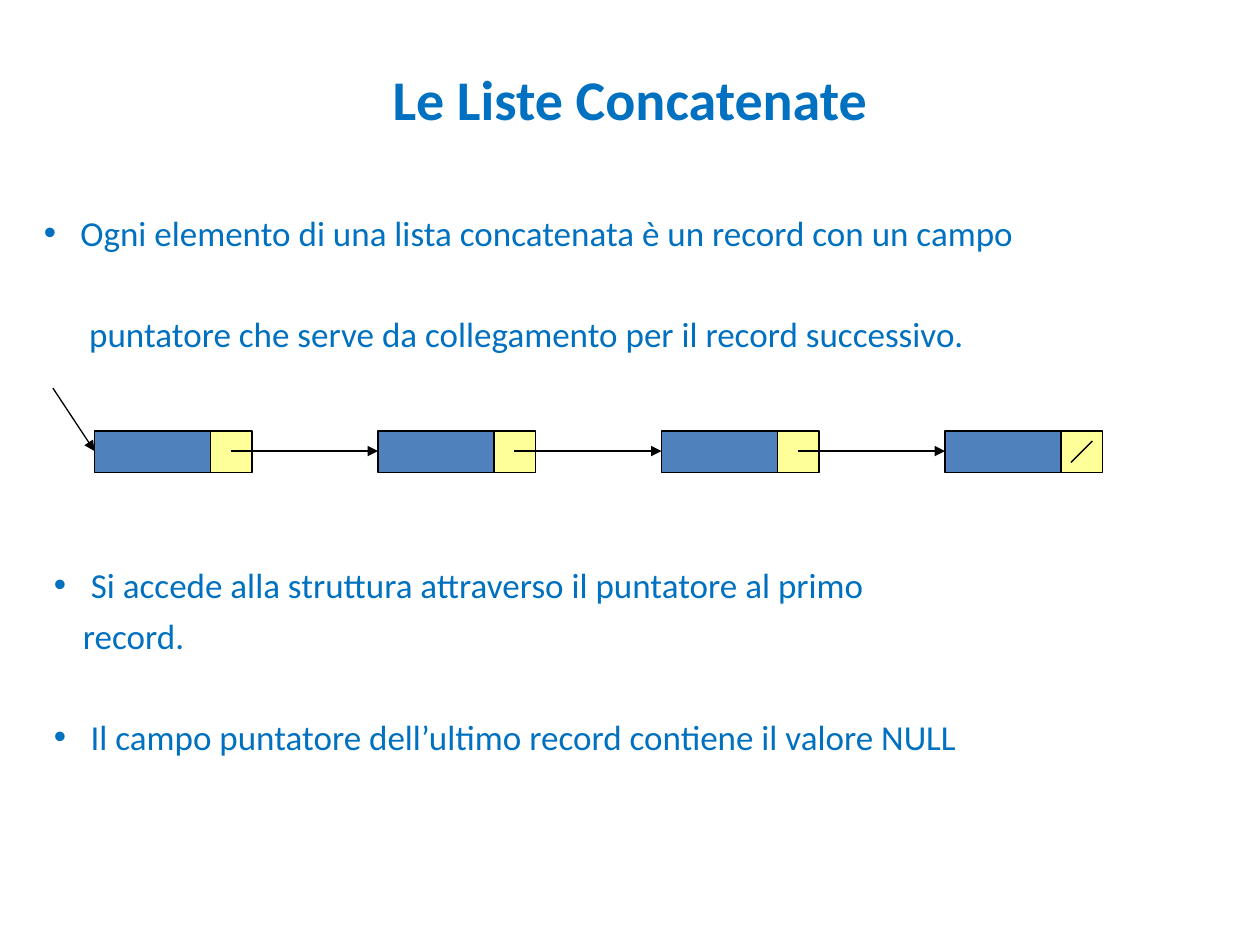
import pptx
import pptx.util
import pptx.dml.color
import pptx.enum.shapes
import pptx.enum.text
import pptx.oxml.ns
import lxml.etree

Inches, Pt = pptx.util.Inches, pptx.util.Pt
RGBColor = pptx.dml.color.RGBColor
qn = pptx.oxml.ns.qn

TEXT_BLUE = RGBColor(0x00, 0x70, 0xC0)
DATA_BLUE = RGBColor(0x4F, 0x81, 0xBD)
POINTER_YELLOW = RGBColor(0xFF, 0xFF, 0x99)
BLACK = RGBColor(0, 0, 0)
FONT = "Calibri"
BLANK_LINE = 29.2  # points

TITLE = "Le Liste Concatenate"
# Each block: box, then paragraphs of (lines, bulleted, left margin, first line indent, space before)
BLOCKS = [
    ((0.25, 1.56, 7.94, 1.32), [
        (["Ogni elemento di una lista concatenata è un record con un campo"],
         True, 0.29, -0.29, 0),
        (["puntatore che serve da collegamento per il record successivo."],
         False, 0.36, 0, BLANK_LINE),
    ]),
    ((0.33, 4.36, 7.49, 1.73), [
        (["Si accede alla struttura attraverso il puntatore al primo", "record."],
         True, 0.23, -0.23, 0),
        (["Il campo puntatore dell’ultimo record contiene il valore NULL"],
         True, 0.29, -0.29, BLANK_LINE),
    ]),
]
RECORDS = 4
RECORD_LEFT, RECORD_TOP, RECORD_STEP = 0.75, 3.42, 2.25
DATA_W, CELL = 0.92, 0.33
MIDDLE = 3.58


def add_run(p, text, size, bold=False):
    """Add one run in the slide's text style."""
    r = p.add_run()
    r.text = text
    r.font.name, r.font.size, r.font.bold = FONT, Pt(size), bold
    r.font.color.rgb = TEXT_BLUE


def add_text_box(s, box):
    """Add a wrapping text box and return its text frame."""
    tf = s.shapes.add_textbox(*map(Inches, box)).text_frame
    tf.word_wrap = True
    return tf


def add_block(s, box, paragraphs):
    """Add a text block with bulleted and plain paragraphs."""
    tf = add_text_box(s, box)
    tf.margin_right = 0
    for i, (lines, bulleted, margin, indent, before) in enumerate(paragraphs):
        p = tf.add_paragraph() if i else tf.paragraphs[0]
        p.line_spacing, p.space_before = 1.2, Pt(before)
        pPr = p._p.get_or_add_pPr()
        pPr.set("marL", str(Inches(margin)))
        pPr.set("indent", str(Inches(indent)))
        if bulleted:
            lxml.etree.SubElement(pPr, qn("a:buFont")).set("typeface", "Arial")
            lxml.etree.SubElement(pPr, qn("a:buChar")).set("char", "•")
        for j, line in enumerate(lines):
            if j:
                p.add_line_break()
            # The hanging first line starts one space after the bullet
            first_gap = " " if bulleted and len(lines) > 1 and j == 0 else ""
            add_run(p, first_gap + line, 20)


def add_cell(s, left, width, color):
    """Add one field of a record."""
    cell = s.shapes.add_shape(pptx.enum.shapes.MSO_SHAPE.RECTANGLE, Inches(left),
                              Inches(RECORD_TOP), Inches(width), Inches(CELL))
    cell.shadow.inherit = False
    cell.fill.solid()
    cell.fill.fore_color.rgb = color
    cell.line.color.rgb, cell.line.width = BLACK, Pt(0.75)


def add_line(s, start, end, arrow=True):
    """Add a black line, with an arrowhead at its end if wanted."""
    line = s.shapes.add_connector(pptx.enum.shapes.MSO_CONNECTOR.STRAIGHT,
                                  *map(Inches, start + end))
    line.line.color.rgb, line.line.width = BLACK, Pt(0.75)
    if arrow:
        ln = line.line._get_or_add_ln()
        lxml.etree.SubElement(ln, qn("a:tailEnd")).set("type", "triangle")
    lxml.etree.SubElement(line._element.spPr, qn("a:effectLst"))


prs = pptx.Presentation()
prs.slide_width, prs.slide_height = Inches(10), Inches(7.5)
s = prs.slides.add_slide(prs.slide_layouts[6])

tf = add_text_box(s, (0.5, 0.3, 9, 0.95))
tf.vertical_anchor = pptx.enum.text.MSO_ANCHOR.MIDDLE
p = tf.paragraphs[0]
p.alignment = pptx.enum.text.PP_ALIGN.CENTER
add_run(p, TITLE, 32, bold=True)

for box, paragraphs in BLOCKS:
    add_block(s, box, paragraphs)

lefts = [RECORD_LEFT + i * RECORD_STEP for i in range(RECORDS)]
for left in lefts:
    add_cell(s, left, DATA_W, DATA_BLUE)
    add_cell(s, left + DATA_W, CELL, POINTER_YELLOW)
for left, following in zip(lefts, lefts[1:]):
    add_line(s, (left + 1.08, MIDDLE), (following, MIDDLE))
add_line(s, (8.5, 3.67), (8.67, 3.5), arrow=False)
add_line(s, (0.42, 3.08), (RECORD_LEFT, MIDDLE))

prs.save("out.pptx")
